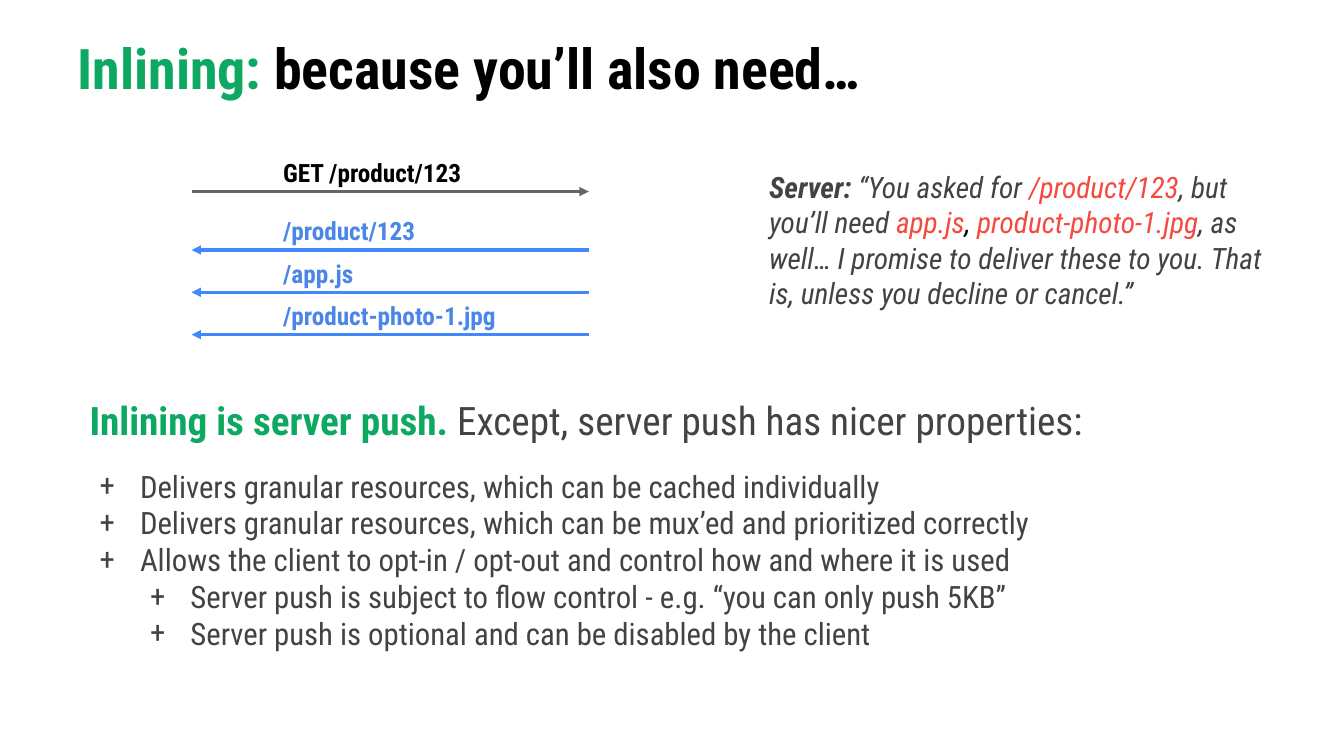
from lxml.etree import SubElement
from pptx import Presentation
from pptx.dml.color import RGBColor
from pptx.enum.shapes import MSO_CONNECTOR
from pptx.enum.text import MSO_ANCHOR, MSO_AUTO_SIZE, PP_ALIGN
from pptx.oxml.ns import qn
from pptx.util import Inches, Pt

GREEN, RED, DARK, BLACK = "0DA861", "F44A3F", "434343", "000000"
GRAY, ARROW_BLUE, LABEL_BLUE = "666666", "4387FD", "4A86E8"


def color(value):
    return RGBColor.from_string(value)


class SlideBuilder:
    font_name = "Roboto Condensed"
    inset = Inches(0.1)

    def __init__(self, presentation):
        self.slide = presentation.slides.add_slide(presentation.slide_layouts[5])

    def place(self, shape, left, top, width, height):
        shape.left, shape.top = Inches(left), Inches(top)
        shape.width, shape.height = Inches(width), Inches(height)

    def format_frame(self, frame, anchor):
        frame.word_wrap = True
        frame.auto_size = MSO_AUTO_SIZE.NONE
        frame.vertical_anchor = anchor
        frame.margin_left = frame.margin_right = self.inset
        frame.margin_top = frame.margin_bottom = self.inset

    def add_runs(self, paragraph, runs, size, italic=False):
        paragraph.alignment = PP_ALIGN.LEFT
        for text, run_color, bold in runs:
            run = paragraph.add_run()
            run.text = text
            run.font.name = self.font_name
            run.font.size = Pt(size)
            run.font.bold = bold
            run.font.italic = italic
            run.font.color.rgb = color(run_color)

    def title(self, runs, box, size):
        shape = self.slide.shapes.title
        self.place(shape, *box)
        self.format_frame(shape.text_frame, MSO_ANCHOR.BOTTOM)
        self.add_runs(shape.text_frame.paragraphs[0], runs, size)

    def text(self, runs, box, size, anchor=MSO_ANCHOR.TOP, italic=False):
        shape = self.slide.shapes.add_textbox(*map(Inches, box))
        self.format_frame(shape.text_frame, anchor)
        self.add_runs(shape.text_frame.paragraphs[0], runs, size, italic)
        return shape.text_frame

    def bullet(self, frame, text, level, size):
        paragraph = frame.add_paragraph()
        paragraph.level = level
        properties = paragraph._p.get_or_add_pPr()
        properties.set("marL", str(Inches(0.5 * (level + 1))))
        properties.set("indent", str(Inches(-0.4)))
        bullet_color = SubElement(properties, qn("a:buClr"))
        SubElement(bullet_color, qn("a:srgbClr"), val=DARK)
        SubElement(properties, qn("a:buFont"), typeface=self.font_name)
        SubElement(properties, qn("a:buChar"), char="+")
        self.add_runs(paragraph, [(text, DARK, False)], size)
        return paragraph

    def arrow(self, start, end, top, line_color):
        connector = self.slide.shapes.add_connector(
            MSO_CONNECTOR.STRAIGHT, Inches(start), Inches(top), Inches(end), Inches(top)
        )
        connector.line.color.rgb = color(line_color)
        connector.line.width = Pt(2.25)
        SubElement(connector.line._get_or_add_ln(), qn("a:tailEnd"), type="triangle")
        SubElement(connector._element.spPr, qn("a:effectLst"))


def main():
    presentation = Presentation()
    presentation.slide_width = Inches(13.33)
    presentation.slide_height = Inches(7.5)
    builder = SlideBuilder(presentation)

    builder.title(
        [("Inlining: ", GREEN, True), ("because you’ll also need…", BLACK, True)],
        (0.67, 0.3, 12, 0.8),
        40,
    )

    builder.text(
        [
            ("Server:", DARK, True),
            (" “You asked for ", DARK, False),
            ("/product/123", RED, False),
            (", but you’ll need ", DARK, False),
            ("app.js", RED, False),
            (", ", BLACK, False),
            ("product-photo-1.jpg", RED, False),
            (
                ", as well… I promise to deliver these to you. "
                "That is, unless you decline or cancel.”",
                DARK,
                False,
            ),
        ],
        (7.53, 1.36, 5.36, 2.04),
        21,
        MSO_ANCHOR.MIDDLE,
        italic=True,
    )

    client, server = 1.9, 5.84
    messages = [("GET /product/123", client, server, 1.9, GRAY, BLACK)]
    responses = ["/product/123", "/app.js", "/product-photo-1.jpg"]
    for index, response in enumerate(responses):
        top = 2.48 + 0.42 * index
        messages.append((response, server, client, top, ARROW_BLUE, LABEL_BLUE))
    for label, start, end, top, line_color, label_color in messages:
        builder.arrow(start, end, top, line_color)
        builder.text([(label, label_color, True)], (2.71, top - 0.44, 2.33, 0.49), 18)

    summary = builder.text(
        [
            ("Inlining is server push. ", GREEN, True),
            ("Except, server push has nicer properties:", DARK, False),
        ],
        (0.79, 3.66, 12.29, 3.08),
        28,
        MSO_ANCHOR.MIDDLE,
    )
    summary.paragraphs[0].space_after = Pt(17)
    properties = [
        ("Delivers granular resources, which can be cached individually", 0),
        ("Delivers granular resources, which can be mux’ed and prioritized correctly", 0),
        ("Allows the client to opt-in / opt-out and control how and where it is used", 0),
        ("Server push is subject to flow control - e.g. “you can only push 5KB”", 1),
        ("Server push is optional and can be disabled by the client", 1),
    ]
    for text, level in properties:
        builder.bullet(summary, text, level, 22)

    presentation.save("out.pptx")


if __name__ == "__main__":
    main()
